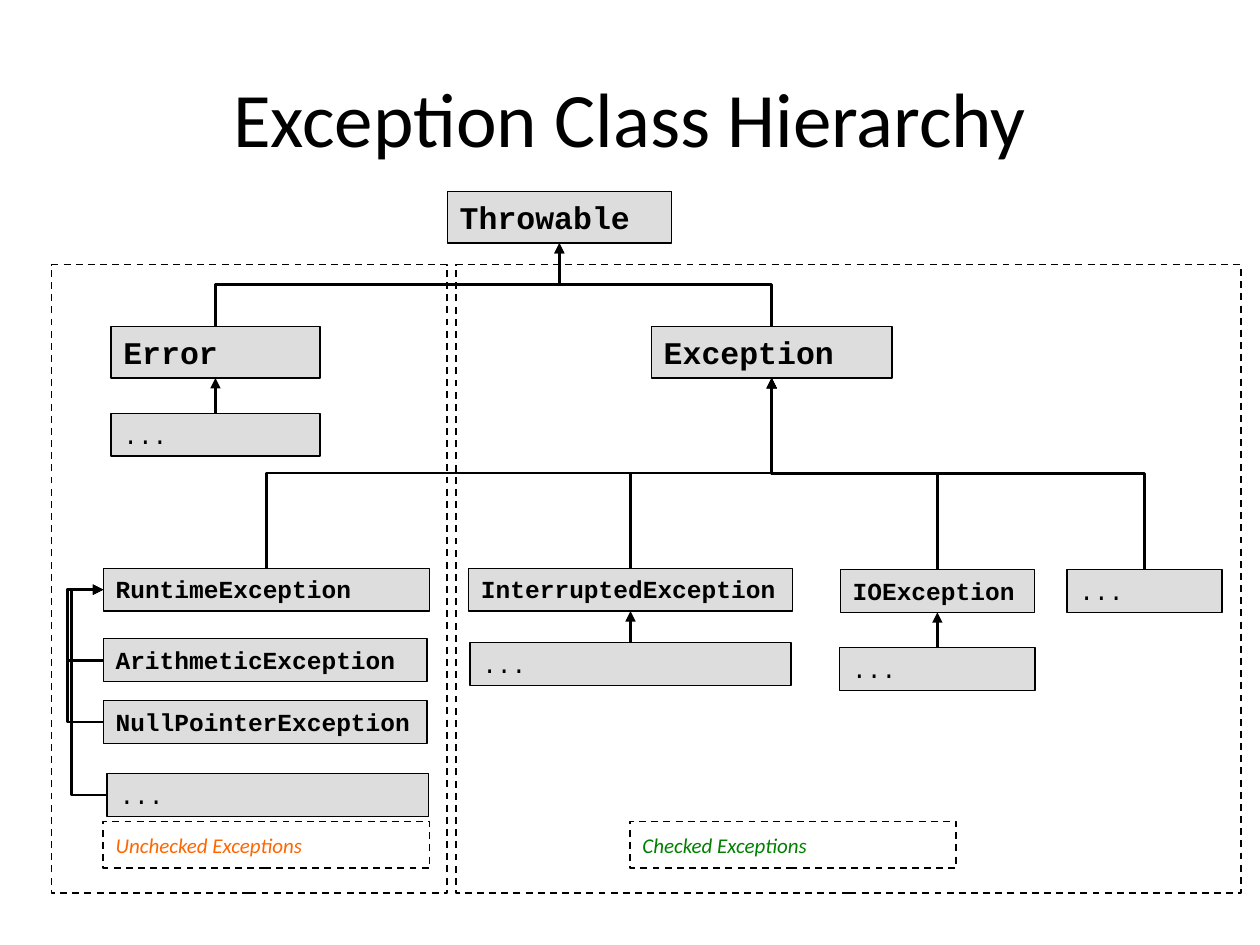
from pptx import Presentation
from pptx.dml.color import RGBColor
from pptx.enum.dml import MSO_LINE as Dash
from pptx.enum.shapes import MSO_CONNECTOR as Link, MSO_SHAPE as Kind
from pptx.enum.text import MSO_ANCHOR as Anchor, PP_ALIGN as Align
from pptx.oxml.ns import qn
from pptx.util import Pt
from lxml.etree import SubElement as Sub

TOP, LEFT, BOTTOM = 0, 1, 2


def color(code):
    """Turn a hex string into a colour."""
    return RGBColor.from_string(code)


class Deck:
    """Hold the style and the current slide."""

    ink, grey = "000000", "DDDDDD"
    code, body = "Courier New", "Calibri"

    def __init__(self, slide):
        """Start on a slide."""
        self.slide = slide

    def words(self, frame, text, size, font, tint, bold=False, italic=False):
        """Put one styled line of text in a frame."""
        frame.text = text
        frame.word_wrap = True
        para = frame.paragraphs[0]
        para.alignment = Align.LEFT
        face = para.runs[0].font
        face.name, face.size = font, Pt(size)
        face.bold, face.italic = bold, italic
        face.color.rgb = color(tint)
        return para

    def title(self, text, x, y, w, h):
        """Place and fill the title."""
        shape = self.slide.shapes.title
        shape.left, shape.top, shape.width, shape.height = map(Pt, (x, y, w, h))
        para = self.words(shape.text_frame, text, 44, self.body, self.ink)
        para.alignment = Align.CENTER
        shape.text_frame.vertical_anchor = Anchor.MIDDLE

    def rect(self, x, y, w, h, line=0.75):
        """Draw an outlined rectangle."""
        shape = self.slide.shapes.add_shape(Kind.RECTANGLE, *map(Pt, (x, y, w, h)))
        shape.shadow.inherit = False
        shape.fill.background()
        shape.line.color.rgb = color(self.ink)
        shape.line.width = Pt(line)
        return shape

    def node(self, text, x, y, w, size=14):
        """Draw a class box."""
        shape = self.rect(x, y, w, 29.5 if size == 18 else 24.5)
        shape.fill.solid()
        shape.fill.fore_color.rgb = color(self.grey)
        frame = shape.text_frame
        frame.vertical_anchor = Anchor.TOP
        para = self.words(frame, text, size, self.code, self.ink, text != "...")
        para.space_before = Pt(round(size * 0.18, 1))
        return shape

    def group(self, x, y, w, h):
        """Draw a dashed frame."""
        shape = self.rect(x, y, w, h, 1)
        shape.line.dash_style = Dash.DASH
        return shape

    def label(self, text, x, y, tint):
        """Draw a dashed caption."""
        frame = self.group(x, y, 186.5, 26.6).text_frame
        frame.vertical_anchor = Anchor.MIDDLE
        self.words(frame, text, 12, self.body, tint, italic=True)

    def wire(self, kind, child, start, parent, end):
        """Link two boxes with an arrow to the parent."""
        link = self.slide.shapes.add_connector(kind, 0, 0, 0, 0)
        link.begin_connect(child, start)
        link.end_connect(parent, end)
        link.line.color.rgb = color(self.ink)
        link.line.width = Pt(1.5)
        props = link._element.spPr
        Sub(props.find(qn("a:ln")), qn("a:tailEnd"), type="triangle")
        Sub(props, qn("a:effectLst"))
        return link

    def rise(self, child, parent):
        """Run an arrow straight up to the parent."""
        self.wire(Link.STRAIGHT, child, TOP, parent, BOTTOM)

    def bend(self, link, x, y, w, h, turn, flip, ratio):
        """Set the frame, turn and elbow of a bent arrow."""
        link.left, link.top, link.width, link.height = map(int, (x, y, w, h))
        props = link._element.spPr
        form = props.find(qn("a:xfrm"))
        for key in ("flipH", "flipV"):
            form.attrib.pop(key, None)
        form.set("rot", str(turn * 60000))
        if flip:
            form.set("flipH", "1")
        guides = props.find(qn("a:prstGeom")).get_or_add_avLst()
        Sub(guides, qn("a:gd"), name="adj1", fmla=f"val {round(ratio * 100000)}")

    def branch(self, child, parent):
        """Run a bent arrow up to the parent, halfway across."""
        link = self.wire(Link.ELBOW, child, TOP, parent, BOTTOM)
        x, y = child.left + child.width / 2, child.top
        px, py = parent.left + parent.width / 2, parent.top + parent.height
        w, h = y - py, abs(px - x)
        back = px < x
        self.bend(link, (x + px - w) / 2, (y + py - h) / 2, w, h,
                  90 if back else 270, back, 0.5)

    def hook(self, child, parent, rail):
        """Run a bent arrow round the left side to the parent."""
        link = self.wire(Link.ELBOW, child, LEFT, parent, LEFT)
        y, py = (box.top + box.height / 2 for box in (child, parent))
        w = max(child.left - parent.left, Pt(0.1))
        self.bend(link, parent.left, py, w, y - py, 180, False,
                  (child.left - Pt(rail)) / w)


def main():
    """Build the slide."""
    show = Presentation()
    show.slide_width, show.slide_height = Pt(720), Pt(540)
    deck = Deck(show.slides.add_slide(show.slide_layouts[5]))
    deck.title("Exception Class Hierarchy", 36, 21.6, 648, 90)

    root = deck.node("Throwable", 255.6, 109.4, 128.2, 18)
    error = deck.node("Error", 63.4, 186.5, 119.5, 18)
    base = deck.node("Exception", 372.2, 186.5, 137.5, 18)
    run = deck.node("RuntimeException", 59, 324.7, 186.5)
    halt = deck.node("InterruptedException", 267.8, 324.7, 185)
    disk = deck.node("IOException", 480.2, 325.4, 110.9)
    more = deck.node("...", 609.8, 325.4, 88.6)
    kids = [deck.node(*args) for args in (
        ("ArithmeticException", 59, 365, 185),
        ("NullPointerException", 59, 400.3, 185),
        ("...", 61.2, 442.1, 183.6))]

    for child in (error, base):
        deck.branch(child, root)
    for child in (run, halt, disk, more):
        deck.branch(child, base)
    for child in kids:
        deck.hook(child, run, 41)
    for parent, x, y, w in ((error, 63.4, 236.2, 119.5),
                            (halt, 268.5, 367.2, 183.6),
                            (disk, 479.85, 370.1, 111.6)):
        deck.rise(deck.node("...", x, y, w), parent)

    deck.label("Unchecked Exceptions", 59, 469.4, "FF6600")
    deck.group(29.5, 151.2, 226.1, 359.3)
    deck.group(260.6, 151.2, 448.6, 359.3)
    deck.label("Checked Exceptions", 360, 469.4, "008000")
    show.save("out.pptx")


if __name__ == "__main__":
    main()
